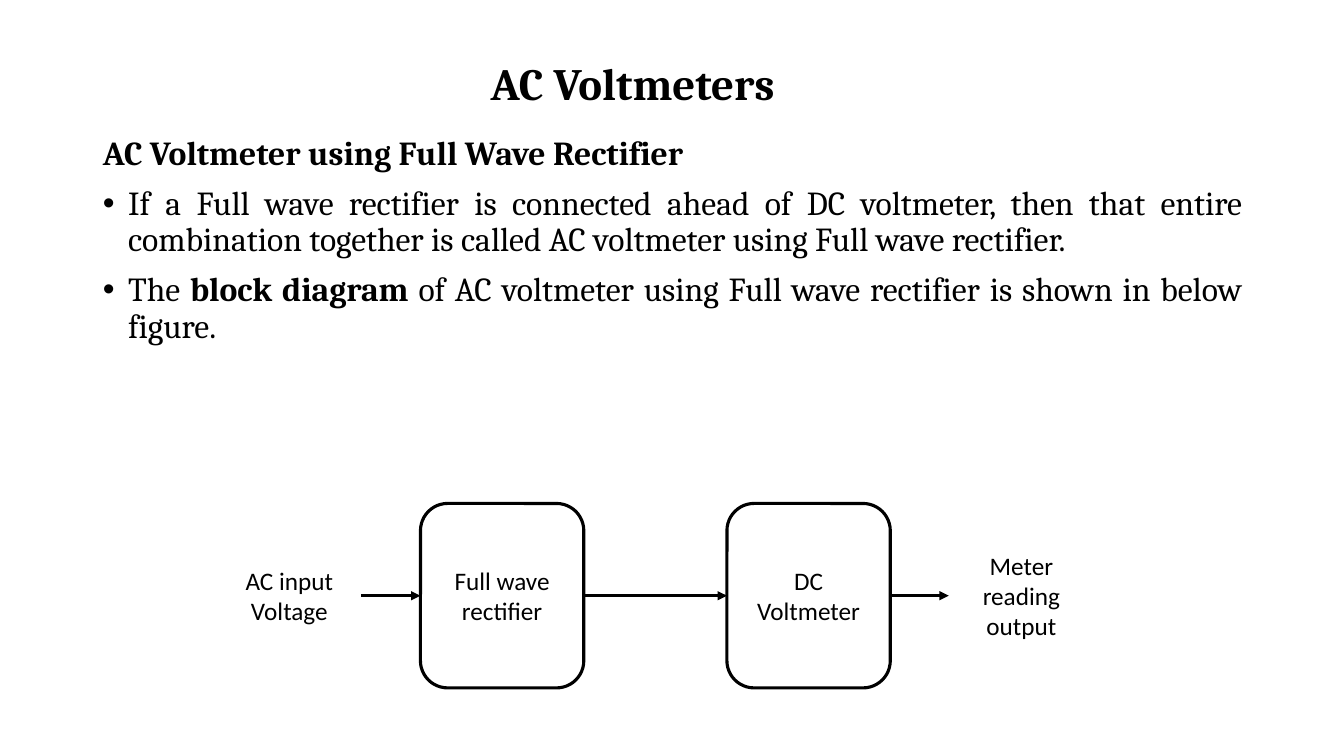
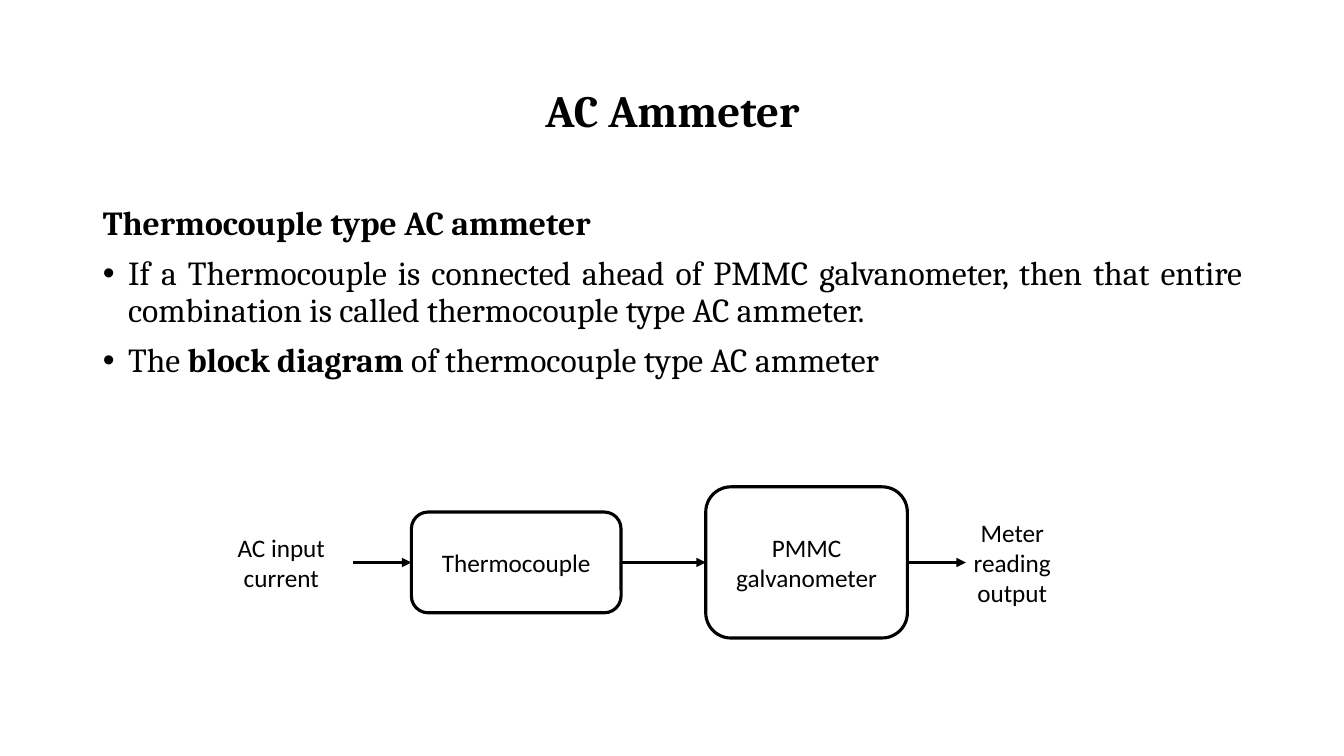
import lxml.etree
import pptx
import pptx.dml.color
import pptx.enum.shapes
import pptx.enum.text
import pptx.oxml.ns
import pptx.util

Inches = pptx.util.Inches
Points = pptx.util.Pt
Align = pptx.enum.text.PP_ALIGN
Anchor = pptx.enum.text.MSO_ANCHOR

COLORS = {"ink": "000000", "paper": "FFFFFF"}
TITLE_FONT = {"name": "Cambria", "size": Points(32), "bold": True}
HEADING_FONT = {"name": "Cambria", "size": Points(24), "bold": True}
BODY_FONT = {"name": "Cambria", "size": Points(24), "bold": False}
BLOCK_FONT = {"name": "Calibri", "size": Points(18), "bold": False}
FRAME_FORMAT = {"word_wrap": True, "auto_size": pptx.enum.text.MSO_AUTO_SIZE.NONE}
MARGIN, TITLE_TOP, BODY_BOTTOM = 0.92, 0.4, 6.76
BODY_WIDTH = 11.5
BULLET_INDENT = 0.25
LINE_WIDTH = Points(2.25)
LEFT_SITE, RIGHT_SITE = 1, 3
OUTPUT_ARROW = 0.58

SLIDES = [
    {
        "title": "AC Voltmeters",
        "title_size": (10.71, 0.9),
        "body_top": 1.3,
        "heading": "AC Voltmeter using Full Wave Rectifier",
        "bullets": [
            ["If a Full wave rectifier is connected ahead of DC voltmeter, then that entire "
             "combination together is called AC voltmeter using Full wave rectifier."],
            ["The ", "block diagram",
             " of AC voltmeter using Full wave rectifier is shown in below figure."],
        ],
        "axis": 5.91,
        "blocks": [
            ("AC input Voltage", 2.16, 1.42, 1.84, False),
            ("Full wave rectifier", 4.17, 1.62, 1.83, True),
            ("DC Voltmeter", 7.21, 1.62, 1.83, True),
            ("Meter reading output", 9.42, 1.42, 1.83, False),
        ],
    },
    {
        "title": "AC Ammeter",
        "title_size": (11.5, 1.45),
        "body_top": 2,
        "heading": "Thermocouple type AC ammeter",
        "bullets": [
            ["If a Thermocouple is connected ahead of PMMC galvanometer, then that entire "
             "combination is called thermocouple type AC ammeter."],
            ["The ", "block diagram", " of thermocouple type AC ammeter"],
        ],
        "axis": 5.58,
        "blocks": [
            ("AC input current", 2.08, 1.42, 1.84, False),
            ("Thermocouple", 4.08, 2.08, 1, True),
            ("PMMC galvanometer", 7, 2, 1.5, True),
            ("Meter reading output", 9.33, 1.42, 1.83, False),
        ],
    },
]


def color(name):
    return pptx.dml.color.RGBColor.from_string(COLORS[name])


def apply(target, values):
    for name, value in values.items():
        setattr(target, name, value)


def add_element(parent, tag, **attributes):
    return lxml.etree.SubElement(parent, pptx.oxml.ns.qn(tag), attributes)


def place(shape, left, top, width, height):
    apply(shape, {"left": Inches(left), "top": Inches(top),
                  "width": Inches(width), "height": Inches(height)})


def add_span(para, text, font):
    span = para.add_run()
    span.text = text
    apply(span.font, font)
    span.font.color.rgb = color("ink")


def set_bullet(para, bulleted):
    properties = para._p.get_or_add_pPr()
    indent = Inches(BULLET_INDENT) if bulleted else 0
    properties.set("marL", str(indent))
    properties.set("indent", str(-indent))
    if bulleted:
        add_element(properties, "a:buFont", typeface="Arial")
        add_element(properties, "a:buChar", char="•")
    else:
        add_element(properties, "a:buNone")


def fill_title(title, content):
    place(title, MARGIN, TITLE_TOP, *content["title_size"])
    apply(title.text_frame, {**FRAME_FORMAT, "vertical_anchor": Anchor.MIDDLE})
    para = title.text_frame.paragraphs[0]
    apply(para, {"alignment": Align.CENTER, "line_spacing": 0.9})
    add_span(para, content["title"], TITLE_FONT)


def fill_body(body, content):
    top = content["body_top"]
    place(body, MARGIN, top, BODY_WIDTH, BODY_BOTTOM - top)
    frame = body.text_frame
    apply(frame, {**FRAME_FORMAT, "vertical_anchor": Anchor.TOP})
    heading = frame.paragraphs[0]
    set_bullet(heading, False)
    apply(heading, {"alignment": Align.LEFT, "line_spacing": 0.9, "space_before": Points(0)})
    add_span(heading, content["heading"], HEADING_FONT)
    for parts in content["bullets"]:
        para = frame.add_paragraph()
        set_bullet(para, True)
        apply(para, {"alignment": Align.JUSTIFY, "line_spacing": 0.9,
                     "space_before": Points(10)})
        for index, text in enumerate(parts):
            add_span(para, text, {**BODY_FONT, "bold": index % 2 == 1})


def add_block(page, axis, text, left, width, height, framed):
    block = page.shapes.add_shape(pptx.enum.shapes.MSO_SHAPE.ROUNDED_RECTANGLE, 0, 0, 0, 0)
    place(block, left, axis - height / 2, width, height)
    block.shadow.inherit = False
    if framed:
        block.fill.solid()
        block.fill.fore_color.rgb = color("paper")
        block.line.color.rgb = color("ink")
        block.line.width = LINE_WIDTH
    else:
        block.fill.background()
        block.line.fill.background()
    apply(block.text_frame, {**FRAME_FORMAT, "vertical_anchor": Anchor.MIDDLE})
    para = block.text_frame.paragraphs[0]
    para.alignment = Align.CENTER
    add_span(para, text, BLOCK_FONT)
    return block


def add_arrow(page, axis, source, target, is_output):
    start = source.left + source.width
    end = start + Inches(OUTPUT_ARROW) if is_output else target.left
    height = Inches(axis)
    arrow = page.shapes.add_connector(
        pptx.enum.shapes.MSO_CONNECTOR.STRAIGHT, start, height, end, height)
    arrow.begin_connect(source, RIGHT_SITE)
    if not is_output:
        arrow.end_connect(target, LEFT_SITE)
    arrow.line.color.rgb = color("ink")
    arrow.line.width = LINE_WIDTH
    add_element(arrow.line._get_or_add_ln(), "a:tailEnd", type="triangle")
    add_element(arrow._element.spPr, "a:effectLst")


def add_diagram(page, content):
    axis = content["axis"]
    blocks = [add_block(page, axis, *block) for block in content["blocks"]]
    for source, target in zip(blocks, blocks[1:]):
        add_arrow(page, axis, source, target, target is blocks[-1])


def main():
    deck = pptx.Presentation()
    deck.slide_width, deck.slide_height = Inches(13.33), Inches(7.5)
    for content in SLIDES:
        page = deck.slides.add_slide(deck.slide_layouts[1])
        fill_title(page.shapes.title, content)
        fill_body(page.placeholders[1], content)
        add_diagram(page, content)
    deck.save("out.pptx")


if __name__ == "__main__":
    main()
